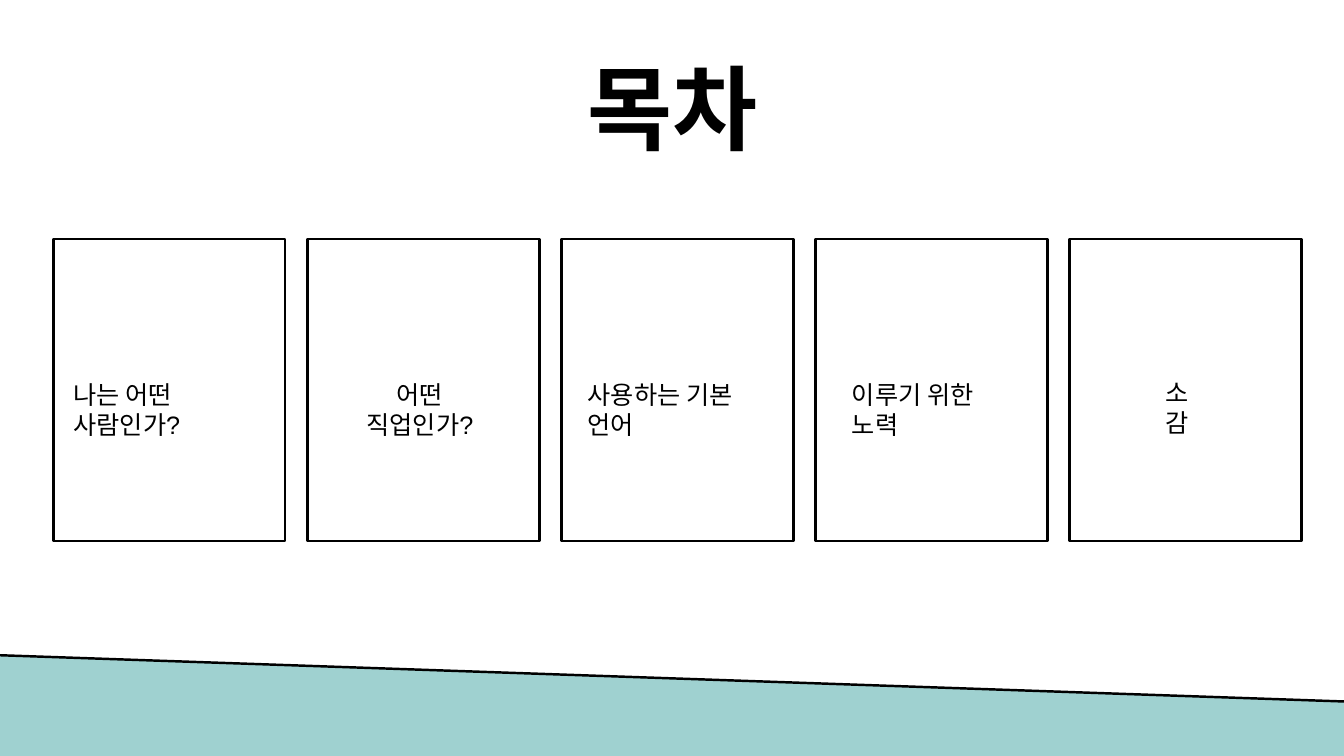
from lxml import etree
from pptx import Presentation
from pptx.dml.color import RGBColor
from pptx.enum.shapes import MSO_CONNECTOR, MSO_SHAPE
from pptx.enum.text import MSO_ANCHOR, MSO_AUTO_SIZE, PP_ALIGN
from pptx.oxml.ns import qn
from pptx.util import Inches, Pt

STRAIGHT = MSO_CONNECTOR.STRAIGHT
RECTANGLE = MSO_SHAPE.RECTANGLE
LEFT, CENTER = PP_ALIGN.LEFT, PP_ALIGN.CENTER
TOP, MIDDLE = MSO_ANCHOR.TOP, MSO_ANCHOR.MIDDLE
NO_AUTOFIT = MSO_AUTO_SIZE.NONE

FONT = "Arial"
BLACK, WHITE, TEAL = "000000", "FFFFFF", "9FD1D0"
LINE_WIDTH = 1.75
CARD_LEFT, CARD_TOP, CARD_WIDTH, CARD_HEIGHT = 0.53, 2.37, 2.3, 3
CARD_STEP = 2.52
LABEL_HEIGHT = 0.4

TOPICS = [
    ("나는 어떤 사람인가?", 0.63, 3.71, 2.09, LEFT),
    ("어떤 직업인가?", 3.36, 3.71, 1.61, CENTER),
    ("사용하는 기본 언어", 5.73, 3.71, 1.98, LEFT),
    ("이루기 위한 노력", 8.35, 3.71, 1.78, LEFT),
    ("소감", 11.46, 3.69, 0.61, LEFT),
]


def color(value):
    return RGBColor.from_string(value)


def place(shape, left, top, width, height):
    shape.left, shape.top = Inches(left), Inches(top)
    shape.width, shape.height = Inches(width), Inches(height)


def write_text(shape, text, size=18, bold=False, align=LEFT, anchor=TOP, spacing=1.0):
    frame = shape.text_frame
    frame.word_wrap = True
    frame.auto_size = NO_AUTOFIT
    frame.vertical_anchor = anchor
    frame.text = text
    paragraph = frame.paragraphs[0]
    paragraph.alignment = align
    paragraph.line_spacing = spacing
    font = paragraph.runs[0].font
    font.name, font.size, font.bold = FONT, Pt(size), bold
    font.color.rgb = color(BLACK)


def style_line(shape):
    shape.line.color.rgb = color(BLACK)
    shape.line.width = Pt(LINE_WIDTH)


def add_band(slide, points, fill):
    corners = [(Inches(x), Inches(y)) for x, y in points]
    builder = slide.shapes.build_freeform(*corners[0])
    builder.add_line_segments(corners[1:], close=True)
    band = builder.convert_to_shape()
    band.shadow.inherit = False
    band.fill.solid()
    band.fill.fore_color.rgb = color(fill)
    band.line.fill.background()


def add_line(slide, start, end):
    ends = [Inches(value) for value in (*start, *end)]
    connector = slide.shapes.add_connector(STRAIGHT, *ends)
    style_line(connector)
    etree.SubElement(connector._element.spPr, qn("a:effectLst"))


def add_card(slide, left, topic):
    text, label_left, label_top, label_width, align = topic
    group = slide.shapes.add_group_shape()
    box = group.shapes.add_shape(
        RECTANGLE, Inches(left), Inches(CARD_TOP), Inches(CARD_WIDTH), Inches(CARD_HEIGHT)
    )
    box.shadow.inherit = False
    box.fill.background()
    style_line(box)
    label = group.shapes.add_textbox(
        Inches(label_left), Inches(label_top), Inches(label_width), Inches(LABEL_HEIGHT)
    )
    write_text(label, text, align=align)


def main():
    presentation = Presentation()
    presentation.slide_width = Inches(13.33)
    presentation.slide_height = Inches(7.5)
    slide = presentation.slides.add_slide(presentation.slide_layouts[5])
    slide.background.fill.solid()
    slide.background.fill.fore_color.rgb = color(WHITE)

    add_band(slide, [(13.36, 6.96), (0, 6.5), (0, 7.5), (13.35, 7.53)], TEAL)
    add_line(slide, (-0.01, 6.5), (13.35, 6.96))

    title = slide.shapes.title
    place(title, 0.92, 0.4, 11.5, 1.45)
    write_text(title, "목차", size=66, bold=True, align=CENTER, anchor=MIDDLE, spacing=0.9)

    for index, topic in enumerate(TOPICS):
        add_card(slide, CARD_LEFT + index * CARD_STEP, topic)

    presentation.save("out.pptx")


if __name__ == "__main__":
    main()
